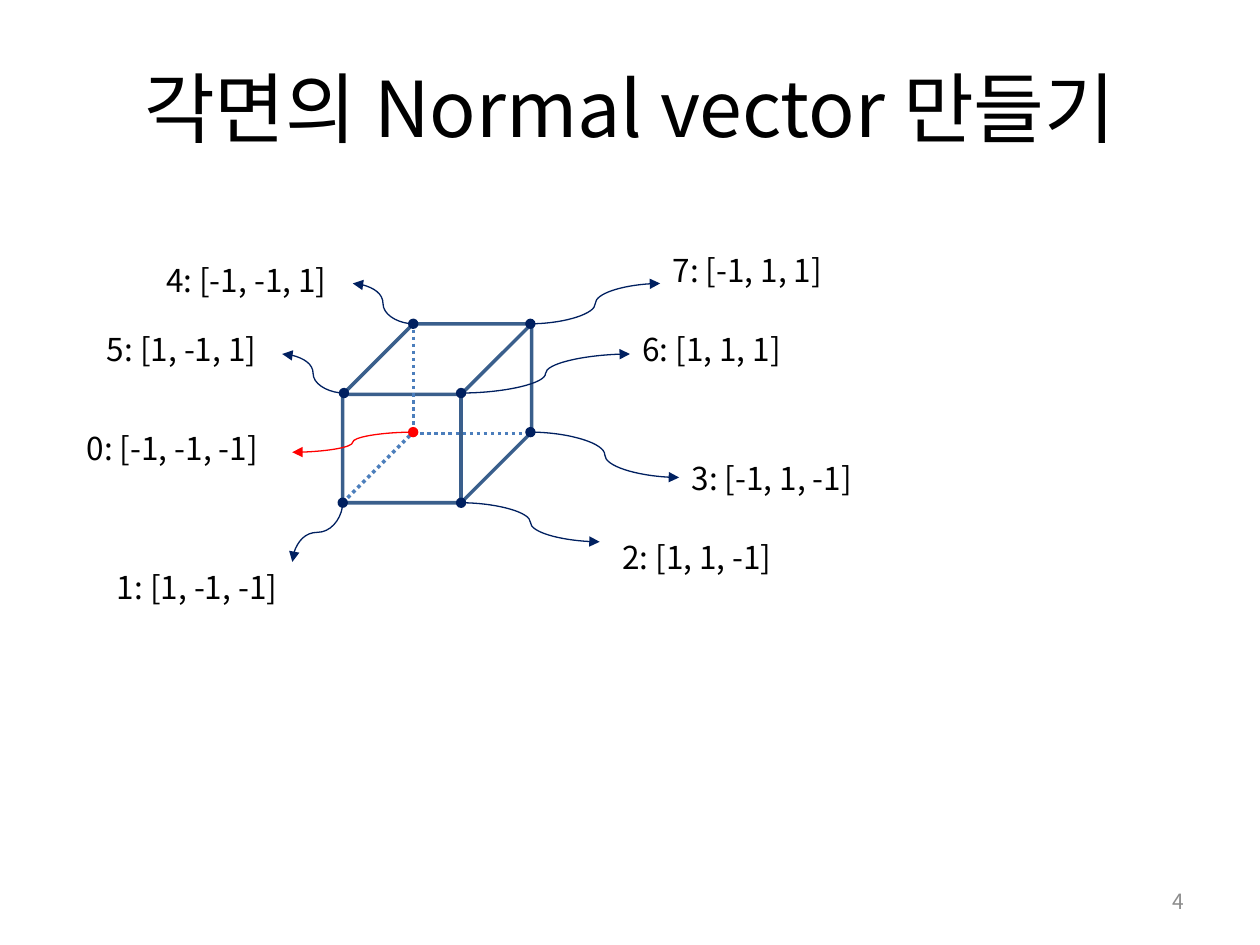
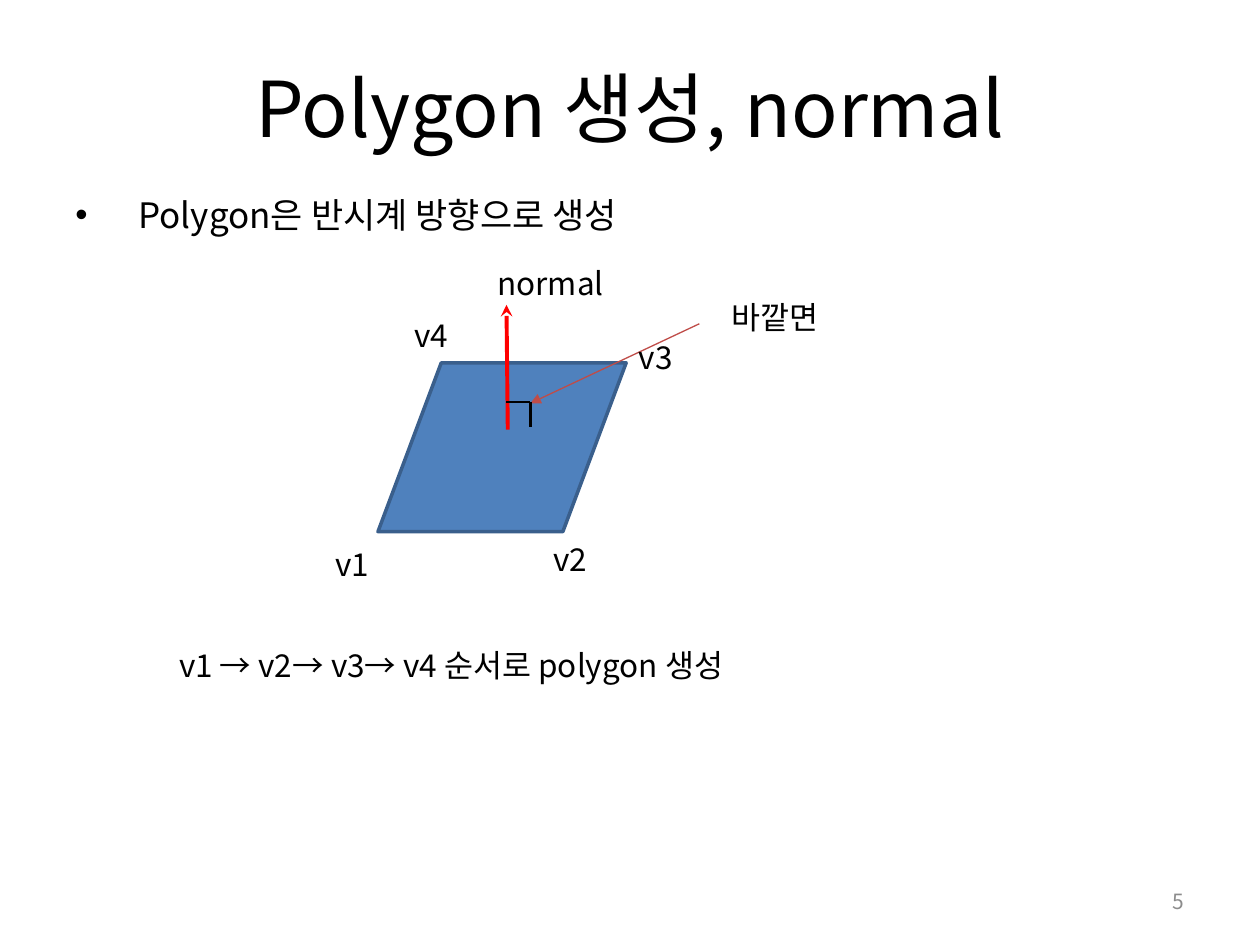
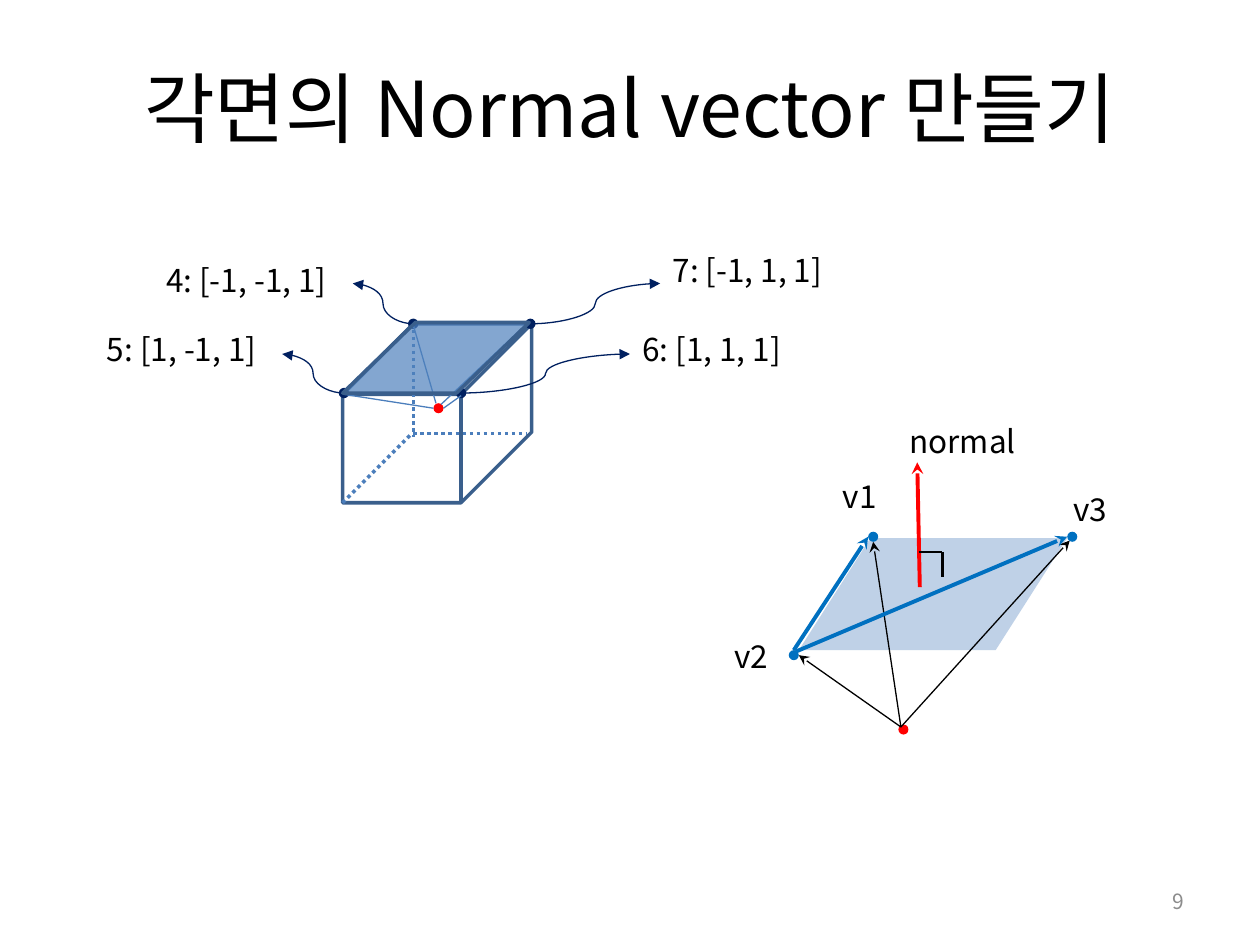
from dataclasses import dataclass

from lxml import etree
from pptx import Presentation
from pptx import util as u
from pptx.dml.color import RGBColor
from pptx.enum import dml, shapes, text
from pptx.oxml.ns import qn

PX = 9144  # EMU per px, 100 px to the inch
FONT = "Noto Sans CJK KR"
COLORS = {
    "black": "000000", "gray": "8C8C8C", "fill": "4F81BD", "edge": "3A5F8C",
    "thin": "4B7EBC", "navy": "002060", "red": "FF0000", "brick": "BF4C48",
    "azure": "0070C0",
}
ALIGN = text.PP_ALIGN
ANCHOR = text.MSO_ANCHOR
PRESET = shapes.MSO_SHAPE
LABEL_FRAME = {"word_wrap": True, "auto_size": text.MSO_AUTO_SIZE.SHAPE_TO_FIT_TEXT}
MIDDLE_FRAME = {"word_wrap": True, "vertical_anchor": ANCHOR.MIDDLE}
NORMAL_TITLE = "각면의 Normal vector 만들기"
DOT = 8
Point = tuple[int, int]


@dataclass(frozen=True)
class Label:
    words: str
    left: int
    top: int
    width: int
    height: int = 40
    size: int = 18
    color: str = "black"
    align: ALIGN = ALIGN.LEFT


@dataclass(frozen=True)
class Line:
    start: Point
    end: Point
    color: str
    width: float = 0.75
    head: str = ""
    tail: str = ""
    dotted: bool = False
    curved: bool = False
    upright: bool = False  # the curve leaves its start vertically


@dataclass(frozen=True)
class Solid:
    preset: PRESET
    left: int
    top: int
    width: int
    height: int
    fill: str = ""
    alpha: int = 100
    edge: str = ""
    adjust: float | None = None


@dataclass(frozen=True)
class Vertex:
    label: Label
    start: Point
    end: Point
    color: str = "navy"
    upright: bool = False


def rgb(name: str) -> RGBColor:
    return RGBColor.from_string(COLORS[name])


def px(*lengths: float) -> list[u.Emu]:
    return [u.Emu(round(length * PX)) for length in lengths]


def apply(target, values: dict) -> None:
    for name, value in values.items():
        setattr(target, name, value)


def draw_label(slide, label: Label, frame_format: dict = LABEL_FRAME):
    box = slide.shapes.add_textbox(*px(label.left, label.top, label.width, label.height))
    apply(box.text_frame, frame_format)
    paragraph = box.text_frame.paragraphs[0]
    paragraph.alignment = label.align
    run = paragraph.add_run()
    run.text = label.words
    apply(run.font, {"size": u.Pt(label.size), "name": FONT})
    run.font.color.rgb = rgb(label.color)
    etree.SubElement(run.font._element, qn("a:ea"), typeface=FONT)
    return paragraph


def draw_line(container, line: Line) -> None:
    (x1, y1), (x2, y2) = line.start, line.end
    if line.upright:  # lay the frame flat, then turn it by 90 degrees
        middle_x, middle_y = (x1 + x2) / 2, (y1 + y2) / 2
        half_x, half_y = (x2 - x1) / 2, (y2 - y1) / 2
        x1, y1 = middle_x - half_y, middle_y + half_x
        x2, y2 = middle_x + half_y, middle_y - half_x
    kind = shapes.MSO_CONNECTOR.CURVE if line.curved else shapes.MSO_CONNECTOR.STRAIGHT
    connector = container.add_connector(kind, *px(x1, y1, x2, y2))
    connector.line.width = u.Pt(line.width)
    connector.line.color.rgb = rgb(line.color)
    if line.dotted:
        connector.line.dash_style = dml.MSO_LINE.ROUND_DOT
    properties = connector._element.spPr
    if line.upright:
        properties.find(qn("a:xfrm")).set("rot", "5400000")
    outline = properties.find(qn("a:ln"))
    for tag, arrow in (("a:headEnd", line.head), ("a:tailEnd", line.tail)):
        if arrow:
            etree.SubElement(outline, qn(tag), type=arrow)
    etree.SubElement(properties, qn("a:effectLst"))


def draw_solid(slide, solid: Solid) -> None:
    shape = slide.shapes.add_shape(
        solid.preset, *px(solid.left, solid.top, solid.width, solid.height))
    shape.shadow.inherit = False
    if solid.adjust is not None:
        shape.adjustments[0] = solid.adjust
    if solid.fill:
        shape.fill.solid()
        shape.fill.fore_color.rgb = rgb(solid.fill)
        if solid.alpha < 100:
            color = shape._element.spPr.find(qn("a:solidFill"))[0]
            etree.SubElement(color, qn("a:alpha"), val=str(solid.alpha * 1000))
    else:
        shape.fill.background()
    if solid.edge:
        shape.line.color.rgb = rgb(solid.edge)
        shape.line.width = u.Pt(2)
    else:
        shape.line.fill.background()


def draw_dot(slide, left: int, top: int, color: str) -> None:
    draw_solid(slide, Solid(PRESET.OVAL, left, top, DOT, DOT, color))


def draw_cube(slide) -> None:
    draw_solid(slide, Solid(PRESET.CUBE, 272, 257, 150, 142, edge="edge", adjust=0.395))
    for start, end in (((328, 256), (328, 347)), ((328, 344), (418, 344)),
                       ((272, 399), (327, 344))):
        draw_line(slide.shapes, Line(start, end, "thin", 2, dotted=True))


def draw_vertices(slide, vertices: list[Vertex]) -> None:
    for vertex in vertices:
        draw_line(slide.shapes, Line(
            vertex.start, vertex.end, vertex.color, head="oval", tail="triangle",
            curved=True, upright=vertex.upright))
    for vertex in vertices:
        draw_label(slide, vertex.label)


def draw_normal(slide, tip: Point, foot: Point, corner: Point, label: Point) -> None:
    """Red normal with its caption and right-angle mark."""
    draw_line(slide.shapes, Line(tip, foot, "red", 2.25, head="stealth"))
    draw_label(slide, Label("normal", *label, 116, align=ALIGN.CENTER))
    x, y = corner
    mark = slide.shapes.add_group_shape().shapes
    draw_line(mark, Line((x - 19, y), corner, "black", 1.5))
    draw_line(mark, Line(corner, (x, y + 20), "black", 1.5))


def add_slide(presentation, title: str, number: int):
    slide = presentation.slides.add_slide(presentation.slide_layouts[6])
    draw_label(slide, Label(title, 50, 30, 900, 109, 44, align=ALIGN.CENTER), MIDDLE_FRAME)
    draw_label(slide, Label(str(number), 717, 695, 233, 40, 12, "gray", ALIGN.RIGHT),
               MIDDLE_FRAME)
    return slide


BOTTOM_VERTICES = [
    Vertex(Label("0: [-1, -1, -1]", 59, 336, 189), (328, 343), (232, 359), "red"),
    Vertex(Label("1: [1, -1, -1]", 83, 446, 189), (272, 399), (232, 446), upright=True),
    Vertex(Label("2: [1, 1, -1]", 484, 422, 189), (366, 399), (476, 430)),
    Vertex(Label("3: [-1, 1, -1]", 539, 359, 189), (421, 343), (539, 379)),
]
TOP_VERTICES = [
    Vertex(Label("4: [-1, -1, 1]", 122, 202, 189), (328, 257), (280, 225)),
    Vertex(Label("5: [1, -1, 1]", 75, 257, 189), (273, 312), (224, 281)),
    Vertex(Label("6: [1, 1, 1]", 500, 257, 189), (366, 312), (500, 281)),
    Vertex(Label("7: [-1, 1, 1]", 524, 194, 189), (421, 257), (524, 225)),
]


def build_cube_slide(presentation) -> None:
    slide = add_slide(presentation, NORMAL_TITLE, 4)
    draw_cube(slide)
    draw_vertices(slide, BOTTOM_VERTICES + TOP_VERTICES)


def build_polygon_slide(presentation) -> None:
    slide = add_slide(presentation, "Polygon 생성, normal", 5)

    # Bulleted statement
    paragraph = draw_label(
        slide, Label("Polygon은 반시계 방향으로 생성", 50, 155, 900, 47, 20),
        {"word_wrap": True})
    apply(paragraph, {"line_spacing": 0.8, "space_before": u.Pt(4)})
    properties = paragraph._p.get_or_add_pPr()
    indent = 50 * PX
    properties.set("marL", str(indent))
    properties.set("indent", str(-indent))
    etree.SubElement(properties, qn("a:buFont"), typeface="Arial")
    etree.SubElement(properties, qn("a:buChar"), char="•")

    # Polygon, its outer face and corners
    draw_solid(slide, Solid(PRESET.PARALLELOGRAM, 300, 288, 197, 134, "fill",
                            edge="edge", adjust=0.375))
    draw_line(slide.shapes, Line((555, 257), (421, 320), "brick", tail="triangle"))
    draw_label(slide, Label("바깥면", 571, 232, 118))
    corners = ((256, 428), (429, 424), (497, 263), (319, 246))
    for number, (left, top) in enumerate(corners, 1):
        draw_label(slide, Label(f"v{number}", left, top, 47, align=ALIGN.CENTER))
    draw_label(slide, Label("v1 → v2→ v3→ v4 순서로 polygon 생성", 98, 508, 520,
                            align=ALIGN.CENTER))
    draw_normal(slide, (402, 242), (403, 341), (421, 319), (379, 205))


def build_face_slide(presentation) -> None:
    slide = add_slide(presentation, NORMAL_TITLE, 9)
    draw_cube(slide)
    draw_vertices(slide, TOP_VERTICES)

    # Cube centre joined to the top face
    draw_dot(slide, 344, 320, "red")
    for start, end in (((346, 320), (328, 258)), ((350, 321), (418, 257)),
                       ((344, 324), (273, 313)), ((352, 324), (366, 314))):
        draw_line(slide.shapes, Line(start, end, "thin"))
    draw_solid(slide, Solid(PRESET.PARALLELOGRAM, 272, 256, 148, 56, "fill", 70,
                            "edge", 1.03))

    # Enlarged face with vectors from the centre and along the face
    draw_solid(slide, Solid(PRESET.PARALLELOGRAM, 634, 427, 213, 89, "fill", 36,
                            adjust=0.638))
    draw_dot(slide, 713, 575, "red")
    for end in ((693, 430), (634, 520), (849, 429)):
        draw_line(slide.shapes, Line((715, 577), end, "black", tail="stealth"))
    for start, end in (((630, 516), (689, 426)), ((632, 517), (847, 426))):
        draw_line(slide.shapes, Line(start, end, "azure", 2.25, tail="stealth"))
    for left, top in ((689, 422), (626, 516), (847, 422)):
        draw_dot(slide, left, top, "azure")
    for number, (left, top) in enumerate(((659, 374), (573, 501), (842, 384)), 1):
        draw_label(slide, Label(f"v{number}", left, top, 54))
    draw_normal(slide, (728, 367), (730, 466), (748, 438), (706, 330))


def main() -> None:
    presentation = Presentation()
    presentation.slide_width, presentation.slide_height = px(1000, 750)
    build_cube_slide(presentation)
    build_polygon_slide(presentation)
    build_face_slide(presentation)
    presentation.save("out.pptx")


if __name__ == "__main__":
    main()
